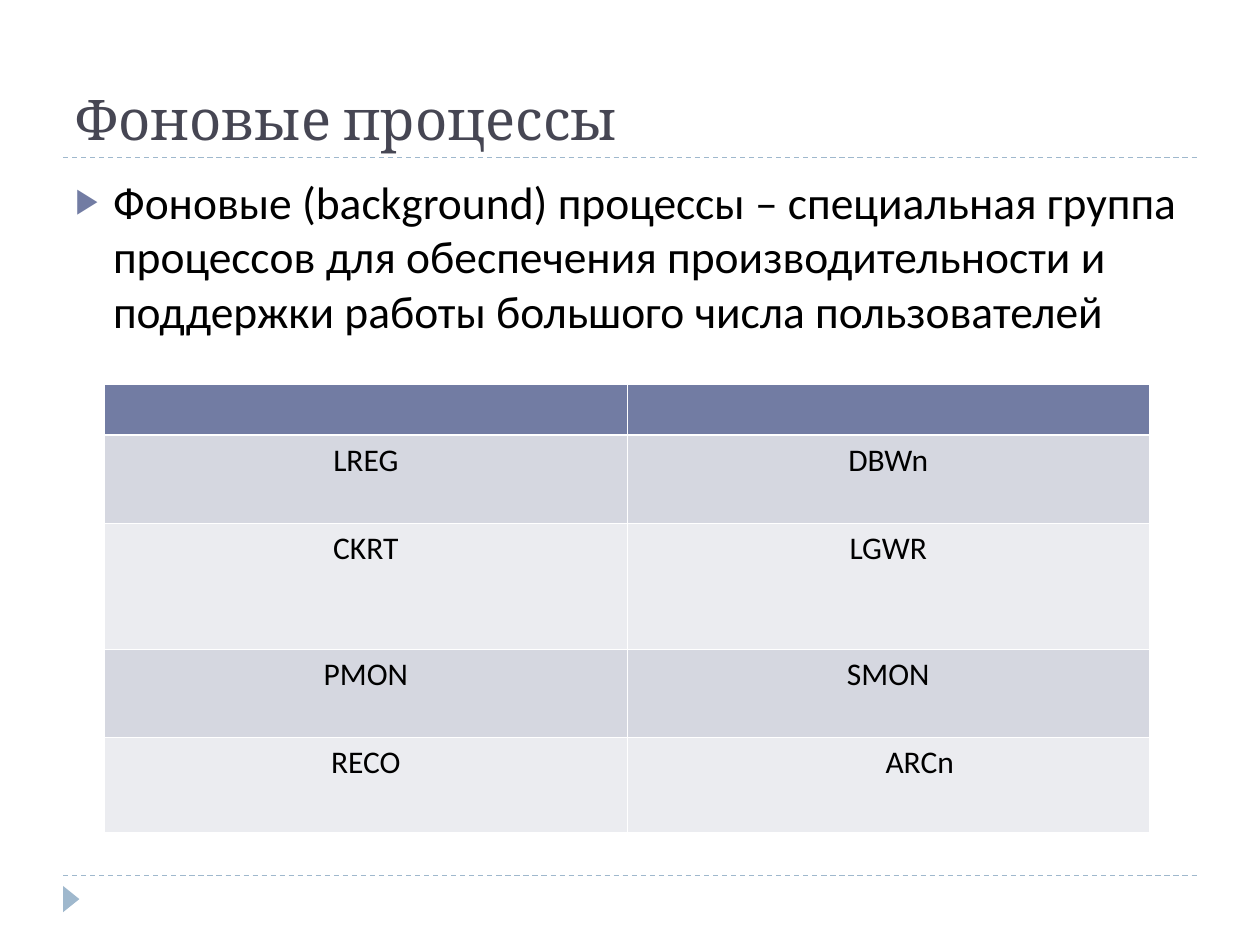
from dataclasses import dataclass

from lxml import etree
from pptx import Presentation
from pptx.dml.color import RGBColor
from pptx.enum.dml import MSO_LINE
from pptx.enum.shapes import MSO_CONNECTOR, MSO_SHAPE
from pptx.enum.text import MSO_ANCHOR, PP_ALIGN
from pptx.oxml.ns import qn
from pptx.util import Cm, Pt

STRAIGHT = MSO_CONNECTOR.STRAIGHT
TRIANGLE = MSO_SHAPE.ISOSCELES_TRIANGLE
DASH = MSO_LINE.DASH
CENTER = PP_ALIGN.CENTER
TOP, BOTTOM = MSO_ANCHOR.TOP, MSO_ANCHOR.BOTTOM

ACCENT, PALE_BLUE = "727CA3", "9FB8CD"
BLACK, WHITE, TITLE_INK = "000000", "FFFFFF", "464653"
BANDS = ("D5D7E0", "EBECF0")
THIN, HEADER_RULE = 0.45, 1.47
MARGIN, CONTENT_WIDTH = 1.27, 22.86
ROW_HEIGHTS = (1.02, 1.78, 2.54, 1.78, 1.9)
COLUMN_WIDTH = 10.53
PROCESSES = (
    ("", ""),
    ("LREG", "DBWn"),
    ("CKRT", "LGWR"),
    ("PMON", "SMON"),
    ("RECO", "ARCn"),
)
INDENTED_PROCESS = "ARCn"


@dataclass(frozen=True)
class TextBlock:
    """A one-paragraph text and its place in centimetres."""
    text: str
    top: float
    height: float
    anchor: MSO_ANCHOR
    color: str
    font: dict
    bulleted: bool = False


TEXT_BLOCKS = (
    TextBlock("Фоновые процессы", 0.43, 2.75, BOTTOM, TITLE_INK,
              {"name": "Cambria", "size": Pt(32)}),
    TextBlock("Фоновые (background) процессы – специальная группа процессов "
              "для обеспечения производительности и поддержки работы "
              "большого числа пользователей", 3.38, 13.72, TOP, BLACK,
              {"name": "Calibri", "size": Pt(26)}, True),
)
CELL_FONT = {"name": "Calibri", "size": Pt(18)}
RULE_TOPS = (3.18, 17.65)


def rgb(color: str) -> RGBColor:
    """Turn a hex string into a colour."""
    return RGBColor.from_string(color)


def apply_format(target, values: dict) -> None:
    """Set each named attribute on the target."""
    for attribute, value in values.items():
        setattr(target, attribute, value)


def add_child(parent, tag: str, **attributes: str):
    """Append an XML element with the given attributes."""
    return etree.SubElement(parent, qn(tag), attributes)


def indent_paragraph(paragraph, left: float, first_line: float = 0):
    """Set the paragraph indents in centimetres and return its properties."""
    properties = paragraph._p.get_or_add_pPr()
    for attribute, length in {"marL": left, "indent": first_line}.items():
        properties.set(attribute, str(Cm(length)))
    return properties


def add_bullet(paragraph) -> None:
    """Give the paragraph a coloured triangle bullet."""
    properties = indent_paragraph(paragraph, 0.76, -0.76)
    add_child(add_child(properties, "a:buClr"), "a:srgbClr", val=ACCENT)
    add_child(properties, "a:buSzPct", val="76000")
    add_child(properties, "a:buFont", typeface="Cambria")
    add_child(properties, "a:buChar", char="▶")


def draw_text(slide, block: TextBlock) -> None:
    """Draw a text block across the content width."""
    box = slide.shapes.add_textbox(Cm(MARGIN), Cm(block.top),
                                   Cm(CONTENT_WIDTH), Cm(block.height))
    frame = box.text_frame
    apply_format(frame, {"word_wrap": True, "vertical_anchor": block.anchor})
    paragraph = frame.paragraphs[0]
    if block.bulleted:
        add_bullet(paragraph)
    run = paragraph.add_run()
    run.text = block.text
    apply_format(run.font, block.font)
    run.font.color.rgb = rgb(block.color)


def draw_rule(slide, top: float) -> None:
    """Draw a dashed rule across the content width."""
    rule = slide.shapes.add_connector(STRAIGHT, Cm(MARGIN), Cm(top),
                                      Cm(MARGIN + CONTENT_WIDTH), Cm(top))
    apply_format(rule.line, {"width": Pt(0.75), "dash_style": DASH})
    rule.line.color.rgb = rgb(PALE_BLUE)
    add_child(rule._element.spPr, "a:effectLst")


def draw_marker(slide) -> None:
    """Draw the footer triangle pointing right."""
    marker = slide.shapes.add_shape(TRIANGLE, Cm(1.17), Cm(17.96),
                                    Cm(0.53), Cm(0.33))
    marker.rotation = 90
    marker.shadow.inherit = False
    marker.fill.solid()
    marker.fill.fore_color.rgb = rgb(PALE_BLUE)
    marker.line.fill.background()


def set_borders(cell, widths: dict) -> None:
    """Give the cell white borders of the given point widths."""
    properties = cell._tc.get_or_add_tcPr()
    for side, width in widths.items():
        border = add_child(properties, f"a:ln{side}", w=str(Pt(width)))
        add_child(add_child(border, "a:solidFill"), "a:srgbClr", val=WHITE)


def fill_cell(cell, process: str, row: int) -> None:
    """Format a table cell and write its process name."""
    set_borders(cell, {"L": THIN, "R": THIN,
                       "T": HEADER_RULE if row == 1 else THIN,
                       "B": HEADER_RULE if row == 0 else THIN})
    cell.fill.solid()
    cell.fill.fore_color.rgb = rgb(BANDS[(row - 1) % 2] if row else ACCENT)
    paragraph = cell.text_frame.paragraphs[0]
    paragraph.alignment = CENTER
    if process == INDENTED_PROCESS:
        indent_paragraph(paragraph, 1.27)
    if process:
        run = paragraph.add_run()
        run.text = process
        apply_format(run.font, CELL_FONT)
        run.font.color.rgb = rgb(BLACK)


def draw_processes(slide) -> None:
    """Draw the table of background processes."""
    table = slide.shapes.add_table(
        len(PROCESSES), len(PROCESSES[0]), Cm(2.11), Cm(7.75),
        Cm(COLUMN_WIDTH * 2), Cm(sum(ROW_HEIGHTS))).table
    for column in table.columns:
        column.width = Cm(COLUMN_WIDTH)
    for row, (height, names) in enumerate(zip(ROW_HEIGHTS, PROCESSES)):
        table.rows[row].height = Cm(height)
        for column, process in enumerate(names):
            fill_cell(table.cell(row, column), process, row)


def main() -> None:
    """Build and save the slide."""
    presentation = Presentation()
    apply_format(presentation, {"slide_width": Cm(25.4),
                                "slide_height": Cm(19.05)})
    slide = presentation.slides.add_slide(presentation.slide_layouts[6])
    for top in RULE_TOPS:
        draw_rule(slide, top)
    draw_marker(slide)
    for block in TEXT_BLOCKS:
        draw_text(slide, block)
    draw_processes(slide)
    presentation.save("out.pptx")


if __name__ == "__main__":
    main()
